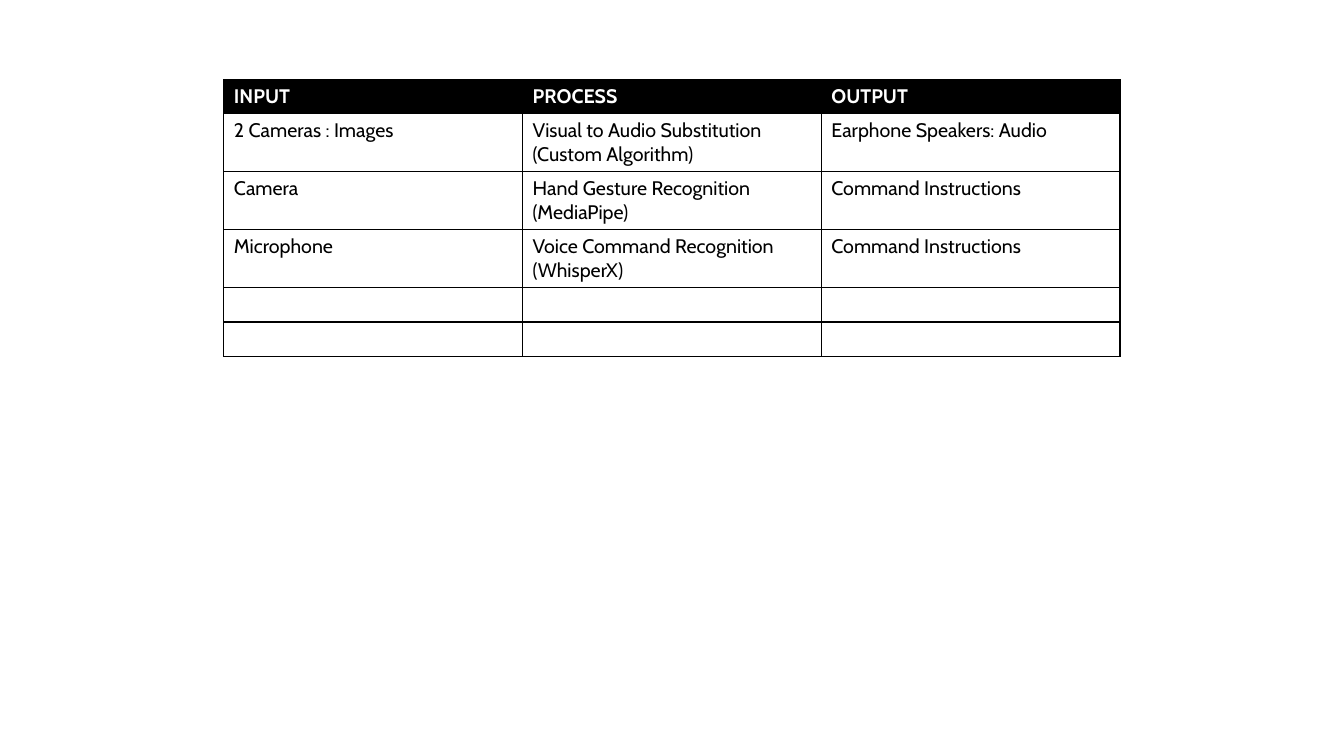
from lxml.etree import SubElement
from pptx import Presentation
from pptx.dml.color import RGBColor
from pptx.oxml.ns import qn
from pptx.util import Inches, Pt

ROWS = [
    ("INPUT", "PROCESS", "OUTPUT"),
    ("2 Cameras : Images", "Visual to Audio Substitution\n(Custom Algorithm)",
     "Earphone Speakers: Audio"),
    ("Camera", "Hand Gesture Recognition\n(MediaPipe)", "Command Instructions"),
    ("Microphone", "Voice Command Recognition\n(WhisperX)", "Command Instructions"),
    ("", "", ""),
    ("", "", ""),
]


def rgb(value):
    """Turn a hex string into a colour."""
    return RGBColor.from_string(value)


class SlideBuilder:
    """Hold the style and the current slide."""

    font, size = "Cabin", 14
    dark, light = "000000", "FFFFFF"
    line_height, cell_padding = 0.235, 0.105

    def __init__(self, prs):
        """Start a blank slide."""
        self.s = prs.slides.add_slide(prs.slide_layouts[6])

    def table(self, rows, left, top, width):
        """Add a bordered table with a dark header row."""
        heights = [self.cell_padding + self.line_height
                   * max(text.count("\n") + 1 for text in row) for row in rows]
        table = self.s.shapes.add_table(
            len(rows), len(rows[0]), Inches(left), Inches(top),
            Inches(width), Inches(sum(heights))).table
        for i, (row, height) in enumerate(zip(rows, heights)):
            table.rows[i].height = Inches(height)
            for j, text in enumerate(row):
                self.cell(table.cell(i, j), text, header=i == 0)

    def cell(self, cell, text, header):
        """Fill, border and write one cell."""
        self.borders(cell)
        cell.fill.solid()
        cell.fill.fore_color.rgb = rgb(self.dark if header else self.light)
        cell.text_frame.text = text
        for p in cell.text_frame.paragraphs:
            for r in p.runs:
                r.font.name = self.font
                r.font.size = Pt(self.size)
                r.font.bold = header
                r.font.color.rgb = rgb(self.light if header else self.dark)
            if not p.runs:
                end = SubElement(p._p, qn("a:endParaRPr"), sz=str(self.size * 100))
                SubElement(end, qn("a:latin"), typeface=self.font)

    def borders(self, cell):
        """Draw a one-point line on each side of a cell."""
        props = cell._tc.get_or_add_tcPr()
        for side in ("lnL", "lnR", "lnT", "lnB"):
            line = SubElement(props, qn(f"a:{side}"), w=str(Pt(1)))
            fill = SubElement(line, qn("a:solidFill"))
            SubElement(fill, qn("a:srgbClr"), val=self.dark)


def main():
    """Build and save the slide."""
    prs = Presentation()
    prs.slide_width, prs.slide_height = Inches(13.33), Inches(7.5)
    SlideBuilder(prs).table(ROWS, left=2.22, top=0.79, width=8.89)
    prs.save("out.pptx")


if __name__ == "__main__":
    main()
